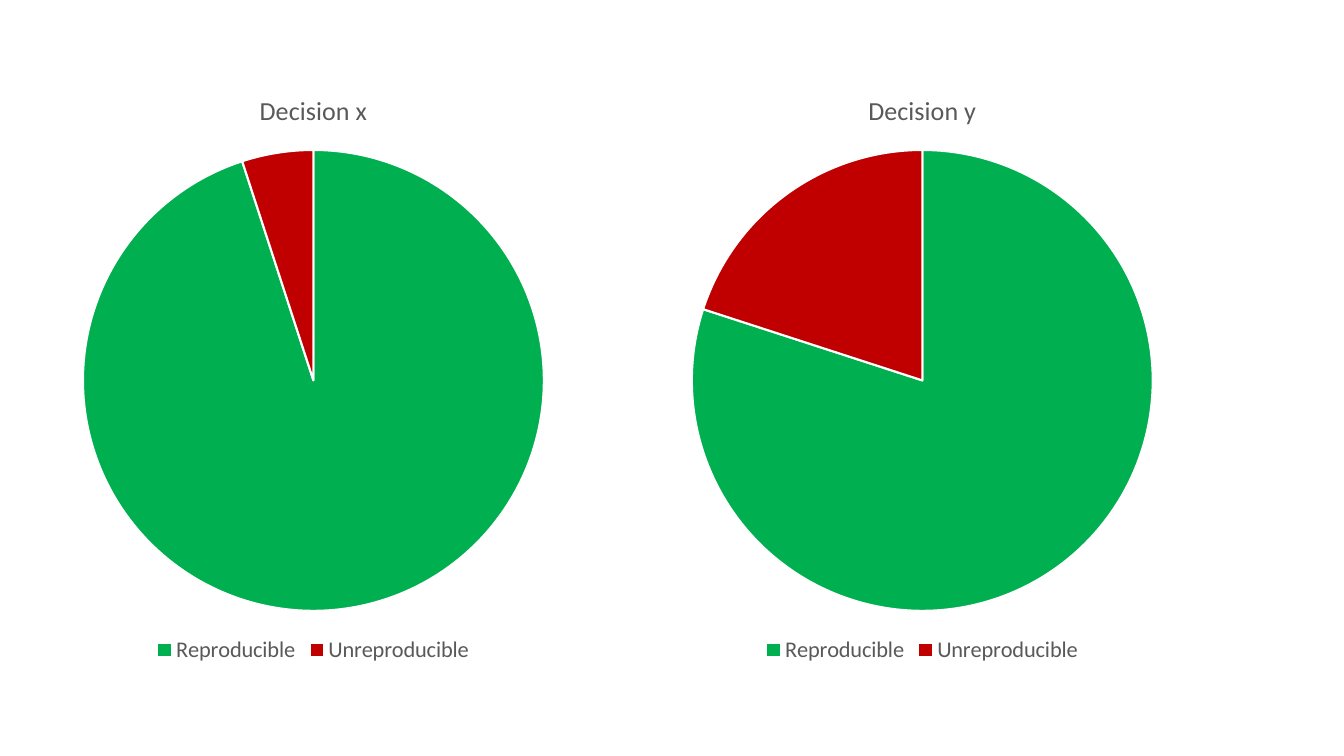
from pptx import Presentation
from pptx.chart.data import CategoryChartData
from pptx.dml.color import RGBColor
from pptx.enum.chart import XL_CHART_TYPE, XL_LEGEND_POSITION
from pptx.util import Pt

GREEN, RED, GRAY, WHITE = "00B050", "C00000", "595959", "FFFFFF"


def color(text):
    """Turn a hex string into a colour."""
    return RGBColor.from_string(text)


class Deck:
    """Holds the style and the current slide."""

    face = "Calibri"
    size = 16
    head = 18.6

    def __init__(self, wide, high):
        """Start a deck with one blank slide."""
        self.show = Presentation()
        self.show.slide_width, self.show.slide_height = Pt(wide), Pt(high)
        self.slide = self.show.slides.add_slide(self.show.slide_layouts[6])

    def style(self, font, size):
        """Set face, size and colour of a font."""
        font.name, font.size, font.bold = self.face, Pt(size), False
        font.color.rgb = color(GRAY)

    def pie(self, title, parts, tints, box):
        """Add a titled pie chart with its legend below."""
        data = CategoryChartData()
        data.categories = list(parts)
        data.add_series("Series 1", list(parts.values()))
        frame = self.slide.shapes.add_chart(
            XL_CHART_TYPE.PIE, *[Pt(n) for n in box], data)
        chart = frame.chart
        self.style(chart.font, self.size)

        chart.has_title = True
        run = chart.chart_title.text_frame.paragraphs[0].add_run()
        run.text = title
        self.style(run.font, self.head)
        chart.chart_title.include_in_layout = False

        chart.has_legend = True
        chart.legend.position = XL_LEGEND_POSITION.BOTTOM
        chart.legend.include_in_layout = False
        self.style(chart.legend.font, self.size)

        plot = chart.plots[0]
        plot.vary_by_categories = True
        for spot, tint in enumerate(tints):
            form = plot.series[0].points[spot].format
            form.fill.solid()
            form.fill.fore_color.rgb = color(tint)
            form.line.color.rgb = color(WHITE)
            form.line.width = Pt(1.5)


deck = Deck(960, 540)
left, top, wide, high, step = -9.4, 50.4, 466.6, 427, 434.9
shares = {"Decision x": 95, "Decision y": 80}
for spot, (title, share) in enumerate(shares.items()):
    parts = {"Reproducible": share, "Unreproducible": 100 - share}
    deck.pie(title, parts, (GREEN, RED), (left + spot * step, top, wide, high))

deck.show.save("out.pptx")
